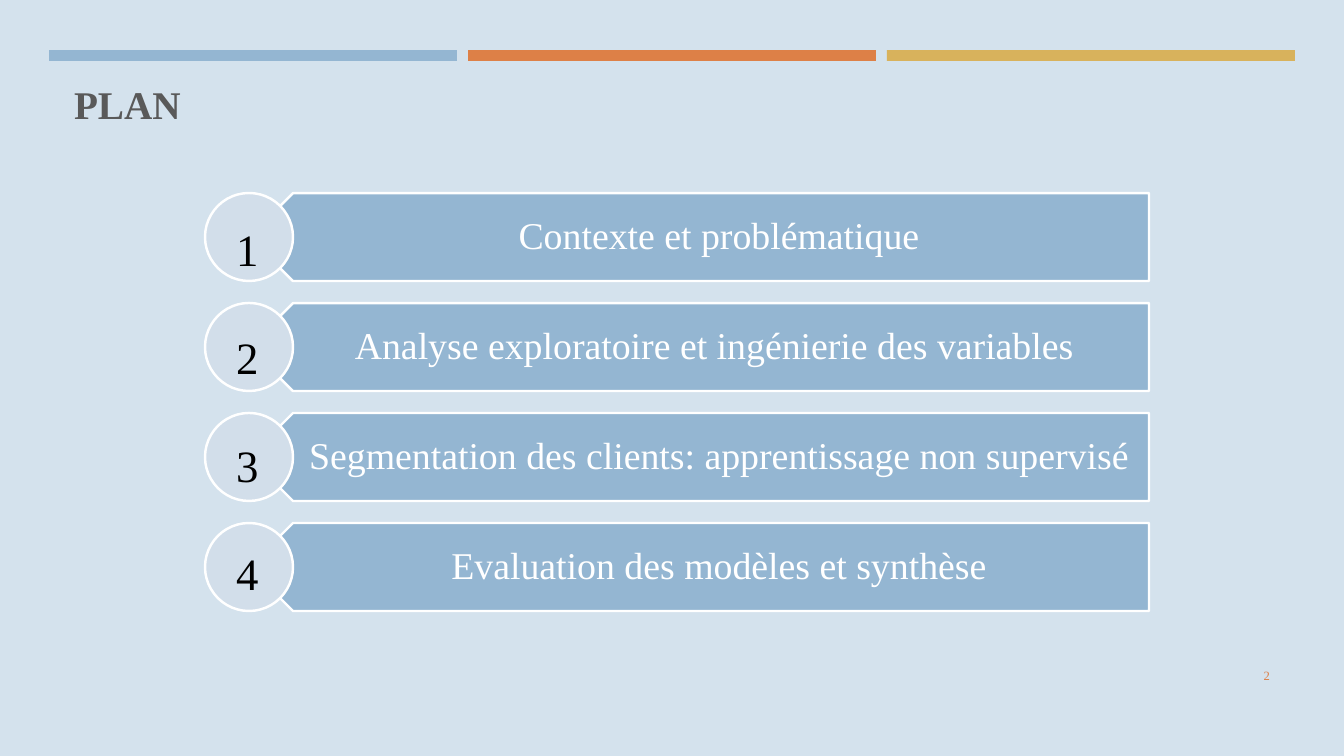
import pptx
import pptx.dml.color
import pptx.enum.shapes
import pptx.enum.text
import pptx.util

TITLE = "PLAN"
PAGE = "2"
SECTIONS = [
    "Contexte et problématique",
    "Analyse exploratoire et ingénierie des variables ",
    "Segmentation des clients: apprentissage non supervisé ",
    "Evaluation des modèles et synthèse",
]
STRIPES = ["94B6D2", "DD8047", "D8B25C"]
FONT = "Times New Roman"
STRIPE_LEFT, STRIPE_PITCH = 49, 419
ROW_TOP, ROW_PITCH, ROW_HEIGHT = 193, 110, 88

PRESET = pptx.enum.shapes.MSO_SHAPE
ALIGN = pptx.enum.text.PP_ALIGN
ANCHOR = pptx.enum.text.MSO_ANCHOR


def px(length):
    return pptx.util.Emu(round(length * 914400 / 100.8))


def color(code):
    return pptx.dml.color.RGBColor.from_string(code)


def add_panel(preset, box, fill, outline=None):
    panel = slide.shapes.add_shape(preset, *map(px, box))
    panel.shadow.inherit = False
    panel.fill.solid()
    panel.fill.fore_color.rgb = color(fill)
    if outline:
        panel.line.color.rgb = color(outline)
        panel.line.width = pptx.util.Pt(1.75)
    else:
        panel.line.fill.background()
    return panel


def write(holder, lines, size, ink, align=ALIGN.LEFT, anchor=ANCHOR.TOP,
          insets=(10, 5, 10, 5), spacing=1.0, bold=False, wrap=True):
    frame = holder.text_frame
    frame.word_wrap = wrap
    frame.auto_size = pptx.enum.text.MSO_AUTO_SIZE.NONE
    frame.vertical_anchor = anchor
    frame.margin_left, frame.margin_top, frame.margin_right, frame.margin_bottom = map(px, insets)
    for index, line in enumerate(lines):
        paragraph = frame.add_paragraph() if index else frame.paragraphs[0]
        paragraph.alignment = align
        paragraph.line_spacing = spacing
        run = paragraph.add_run()
        run.text = line
        run.font.name = FONT
        run.font.size = pptx.util.Pt(size)
        run.font.bold = bold
        run.font.color.rgb = color(ink)


def add_text(box, lines, size, ink, **layout):
    write(slide.shapes.add_textbox(*map(px, box)), lines, size, ink, **layout)


deck = pptx.Presentation()
deck.slide_width, deck.slide_height = px(1344), px(756)
slide = deck.slides.add_slide(deck.slide_layouts[5])
slide.background.fill.solid()
slide.background.fill.fore_color.rgb = color("D4E2ED")

for column, stripe in enumerate(STRIPES):
    add_panel(PRESET.RECTANGLE, (STRIPE_LEFT + column * STRIPE_PITCH, 50, 408, 11), stripe)

heading = slide.shapes.title
heading.left, heading.top, heading.width, heading.height = map(px, (64, 75, 1212, 76))
write(heading, [TITLE], 28, "595959", bold=True)

for row, section in enumerate(SECTIONS):
    top = ROW_TOP + row * ROW_PITCH
    banner = add_panel(PRESET.PENTAGON, (249, top, 900, ROW_HEIGHT), "94B6D2", "FFFFFF")
    banner.rotation = 180
    add_text((271, top, 879, ROW_HEIGHT), [section], 27, "FFFFFF", align=ALIGN.CENTER,
             anchor=ANCHOR.MIDDLE, insets=(38, 11, 21, 11), spacing=0.9)
    add_panel(PRESET.OVAL, (205, top, ROW_HEIGHT, ROW_HEIGHT), "D2DEEA", "FFFFFF")

numbers = [str(row + 1) for row in range(len(SECTIONS))]
add_text((226, 163, 41, 430), numbers, 32, "000000", spacing=pptx.util.Pt(77), wrap=False)
add_text((1164, 656, 116, 40), [PAGE], 9, "DD8047", align=ALIGN.RIGHT, anchor=ANCHOR.MIDDLE)

deck.save("out.pptx")
